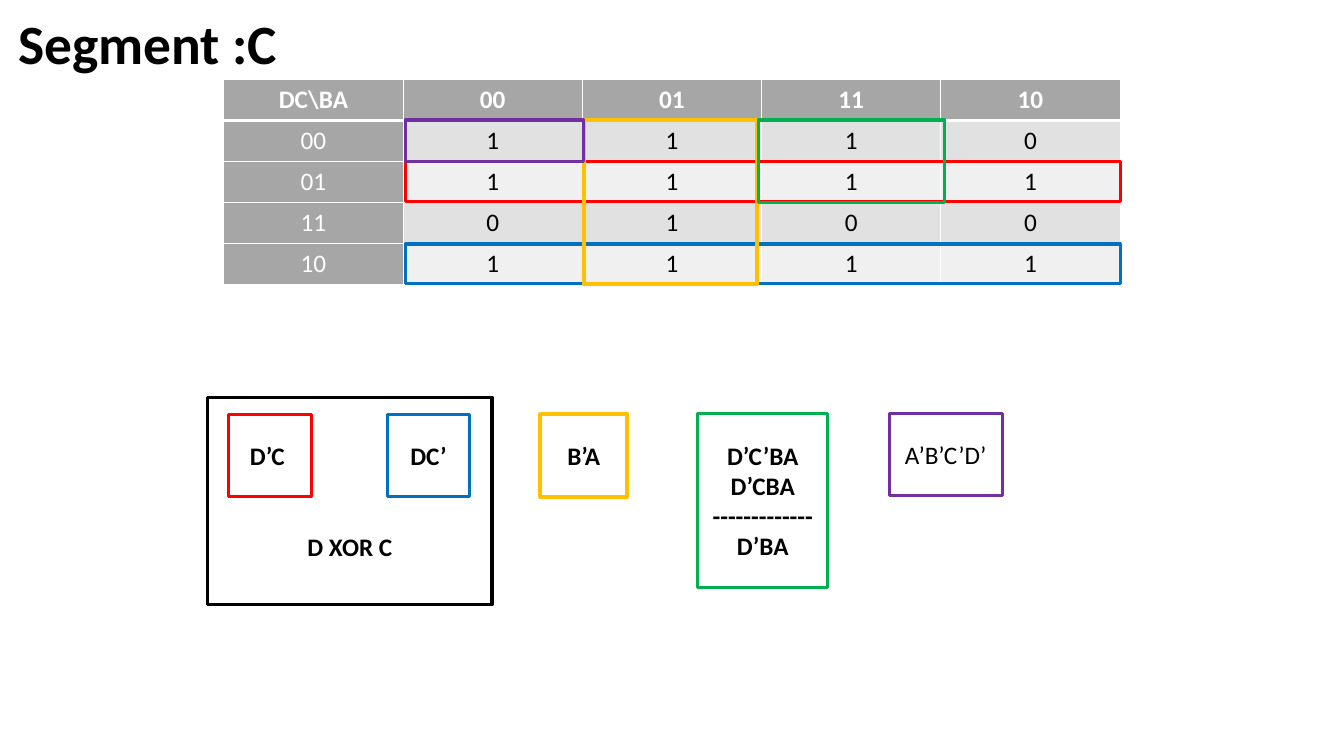
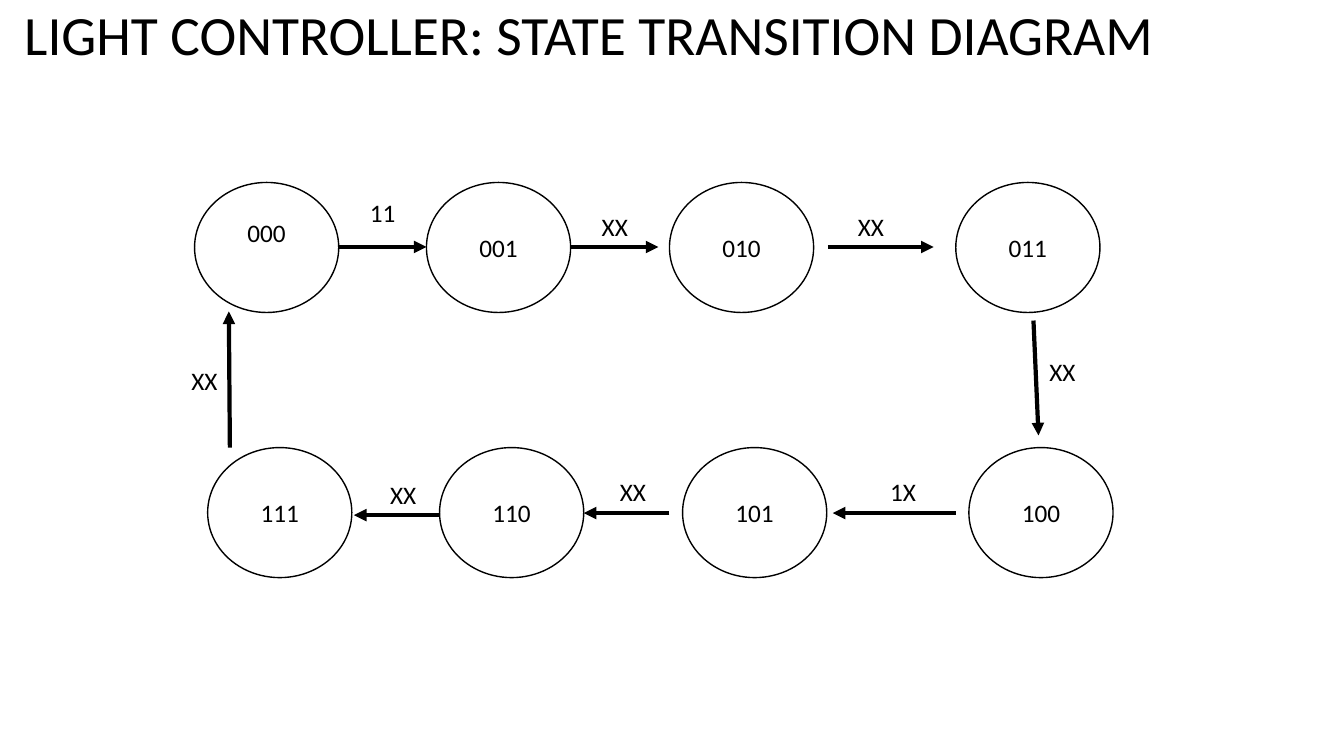
from lxml import etree
from pptx import Presentation
from pptx.dml.color import RGBColor
from pptx.enum.shapes import MSO_CONNECTOR, MSO_SHAPE
from pptx.enum.text import MSO_ANCHOR, MSO_AUTO_SIZE, PP_ALIGN
from pptx.oxml.ns import qn
from pptx.util import Inches, Pt

LEFT, CENTER = PP_ALIGN.LEFT, PP_ALIGN.CENTER
MIDDLE, TOP = MSO_ANCHOR.MIDDLE, MSO_ANCHOR.TOP
RECT, OVAL = MSO_SHAPE.RECTANGLE, MSO_SHAPE.OVAL
STRAIGHT = MSO_CONNECTOR.STRAIGHT
FIXED = MSO_AUTO_SIZE.NONE

FONT = "Calibri"
BLACK, WHITE = "000000", "FFFFFF"
GRAY, DARK, LIGHT = "A6A6A6", "E1E1E1", "F0F0F0"
RED, BLUE, GOLD = "FF0000", "0070C0", "FFC000"
PURPLE, GREEN = "7030A0", "00B050"

MAP = [
    ["DC\\BA", "00", "01", "11", "10"],
    ["00", "1", "1", "1", "0"],
    ["01", "1", "1", "1", "1"],
    ["11", "0", "1", "0", "0"],
    ["10", "1", "1", "1", "1"],
]
GRID = (2.22, 0.79, 8.89, 2.03)

LOOPS = [
    (RED, (4.02, 1.6, 7.09, 0.4)),
    (BLUE, (4.02, 2.42, 7.09, 0.39)),
    (GOLD, (5.79, 1.19, 1.72, 1.63)),
    (PURPLE, (4.02, 1.19, 1.77, 0.41)),
    (GREEN, (7.52, 1.19, 1.85, 0.82)),
]
TERMS = [
    (RED, (2.27, 4.11, 0.82, 0.82), ["D’C "], True, 0.05),
    (BLUE, (3.84, 4.11, 0.82, 0.82), ["DC’"], True, 0.05),
    (GOLD, (5.36, 4.11, 0.86, 0.82), ["B’A"], True, 0.05),
    (PURPLE, (8.82, 4.1, 1.12, 0.82), ["A’B’C’D’"], False, 0.05),
    (GREEN, (6.92, 4.1, 1.29, 1.73),
     ["D’C’BA", "D’CBA", "-------------", "D’BA"], True, 0.05),
    (BLACK, (2.06, 3.94, 2.82, 2.06), ["D XOR C"], True, 0.95),
]

STATE_X = [1.93, 4.23, 6.64, 9.48]
STATE_W, STATE_H = 1.43, 1.29
STATES = [
    (0, 1.81, ["000", "001", "010", "011"]),
    (0.13, 4.44, ["111", "110", "101", "100"]),
]
RAISED = "000"
MOVES = [
    ("11", (3.57, 1.91), (3.36, 2.45, 4.23, 2.45)),
    ("XX", (5.87, 2.05), (5.66, 2.45, 6.53, 2.45)),
    ("XX", (8.41, 2.05), (8.21, 2.45, 9.26, 2.45)),
    ("XX", (10.31, 3.49), (10.25, 3.18, 10.3, 4.32)),
    ("1X", (8.73, 4.68), (9.48, 5.09, 8.26, 5.09)),
    ("XX", (6.05, 4.68), (6.64, 5.09, 5.79, 5.09)),
    ("XX", (3.77, 4.71), (4.36, 5.11, 3.51, 5.11)),
    ("XX", (1.8, 3.58), (2.28, 4.44, 2.27, 3.09)),
]


def rgb(code):
    return RGBColor.from_string(code)


def inches(spot):
    return [Inches(n) for n in spot]


def write(frame, lines, size=18, color=BLACK, bold=False,
          align=CENTER, anchor=MIDDLE, wrap=True, space=None):
    frame.word_wrap = wrap
    frame.vertical_anchor = anchor
    for i, line in enumerate(lines):
        para = frame.paragraphs[0] if i == 0 else frame.add_paragraph()
        para.alignment = align
        if space:
            para.line_spacing = space
        run = para.add_run()
        run.text = line
        run.font.name = FONT
        run.font.size = Pt(size)
        run.font.bold = bold
        run.font.color.rgb = rgb(color)


def start(deck, text, spot, bold=False):
    slide = deck.slides.add_slide(deck.slide_layouts[5])
    title = slide.shapes.title
    title.left, title.top, title.width, title.height = inches(spot)
    title.text_frame.auto_size = FIXED
    write(title.text_frame, [text], size=39.6, bold=bold,
          align=LEFT, space=0.9)
    return slide


def outline(slide, kind, spot, color, width, fill=None):
    shape = slide.shapes.add_shape(kind, *inches(spot))
    shape.shadow.inherit = False
    if fill:
        shape.fill.solid()
        shape.fill.fore_color.rgb = rgb(fill)
    else:
        shape.fill.background()
    shape.line.color.rgb = rgb(color)
    shape.line.width = Pt(width)
    return shape


def border(cell, side, width):
    props = cell._tc.get_or_add_tcPr()
    line = etree.SubElement(props, qn("a:" + side), w=str(Pt(width)))
    fill = etree.SubElement(line, qn("a:solidFill"))
    etree.SubElement(fill, qn("a:srgbClr"), val=WHITE)


def table(slide):
    grid = slide.shapes.add_table(len(MAP), len(MAP[0]), *inches(GRID)).table
    for r, row in enumerate(MAP):
        for c, text in enumerate(row):
            cell = grid.cell(r, c)
            head = r == 0 or c == 0
            for side in ("lnL", "lnR", "lnT", "lnB"):
                edge = (r, side) in ((0, "lnB"), (1, "lnT"))
                border(cell, side, 3 if edge else 1)
            cell.fill.solid()
            band = DARK if r % 2 else LIGHT
            cell.fill.fore_color.rgb = rgb(GRAY if head else band)
            cell.vertical_anchor = TOP
            write(cell.text_frame, [text], bold=r == 0, anchor=TOP,
                  color=WHITE if head else BLACK)


def arrow(slide, ends):
    link = slide.shapes.add_connector(STRAIGHT, *inches(ends))
    link.line.color.rgb = rgb(BLACK)
    link.line.width = Pt(3)
    props = link._element.spPr
    etree.SubElement(props.find(qn("a:ln")), qn("a:tailEnd"), type="triangle")
    etree.SubElement(props, qn("a:effectLst"))


def segment(deck):
    slide = start(deck, "Segment :C", (0.08, 0.14, 3.01, 0.64), bold=True)
    table(slide)
    for color, spot in LOOPS:
        outline(slide, RECT, spot, color, 3 if color == GOLD else 2.25)
    for color, spot, lines, bold, inset in TERMS:
        box = outline(slide, RECT, spot, color, 3 if color == GOLD else 2.25)
        box.text_frame.margin_top = Inches(inset)
        write(box.text_frame, lines, bold=bold)


def diagram(deck):
    slide = start(deck, "LIGHT CONTROLLER: STATE TRANSITION DIAGRAM",
                  (0.14, 0.1, 11.5, 0.55))
    for shift, y, names in STATES:
        for x, name in zip(STATE_X, names):
            spot = (x + shift, y, STATE_W, STATE_H)
            node = outline(slide, OVAL, spot, BLACK, 1, fill=WHITE)
            if name == RAISED:
                node.text_frame.margin_bottom = Inches(0.35)
            write(node.text_frame, [name])
    for text, (x, y), ends in MOVES:
        arrow(slide, ends)
        label = slide.shapes.add_textbox(*inches((x, y, 0.46, 0.4)))
        write(label.text_frame, [text], align=LEFT, anchor=TOP, wrap=False)


def main():
    deck = Presentation()
    deck.slide_width, deck.slide_height = inches((13.33, 7.5))
    segment(deck)
    diagram(deck)
    deck.save("out.pptx")


if __name__ == "__main__":
    main()
